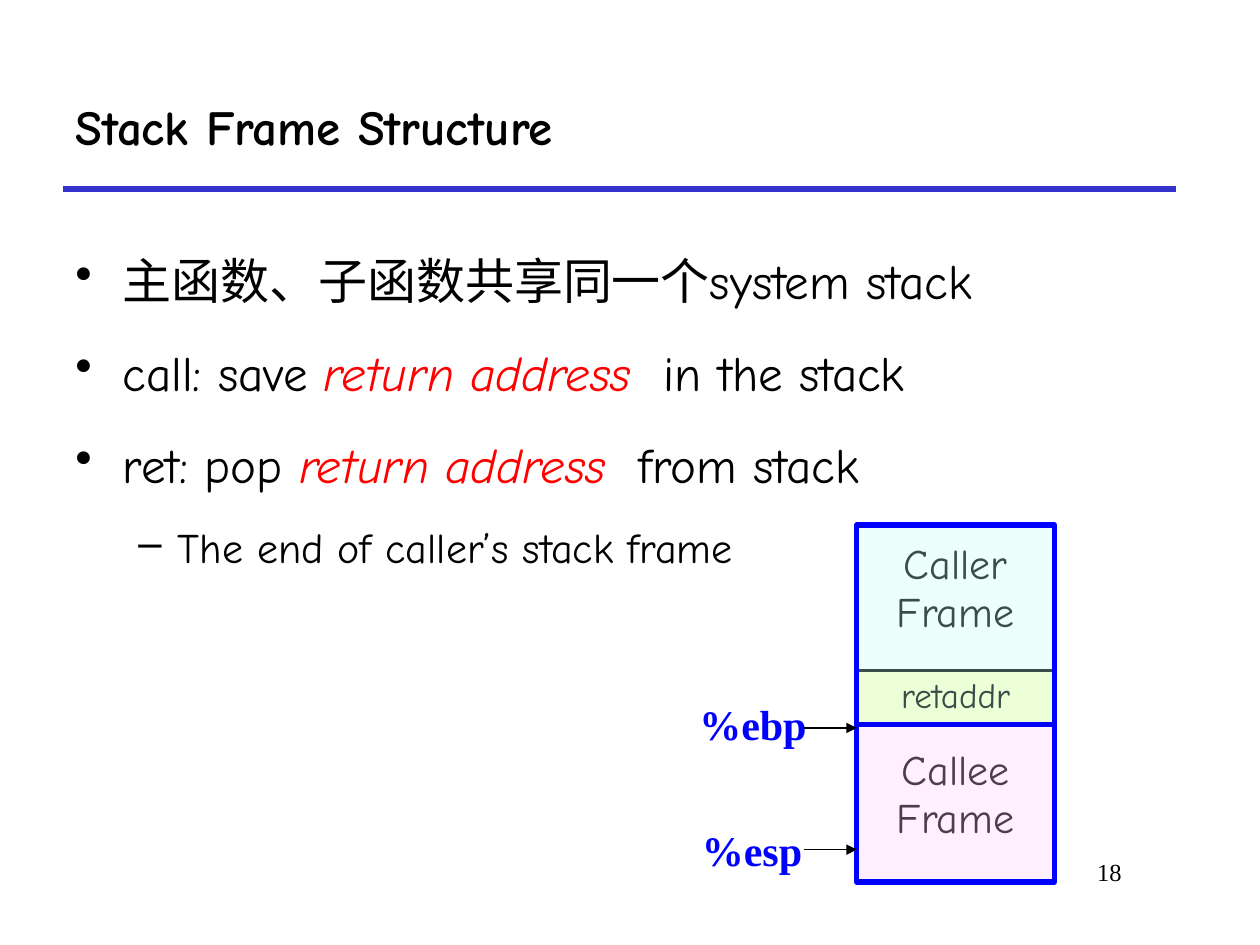
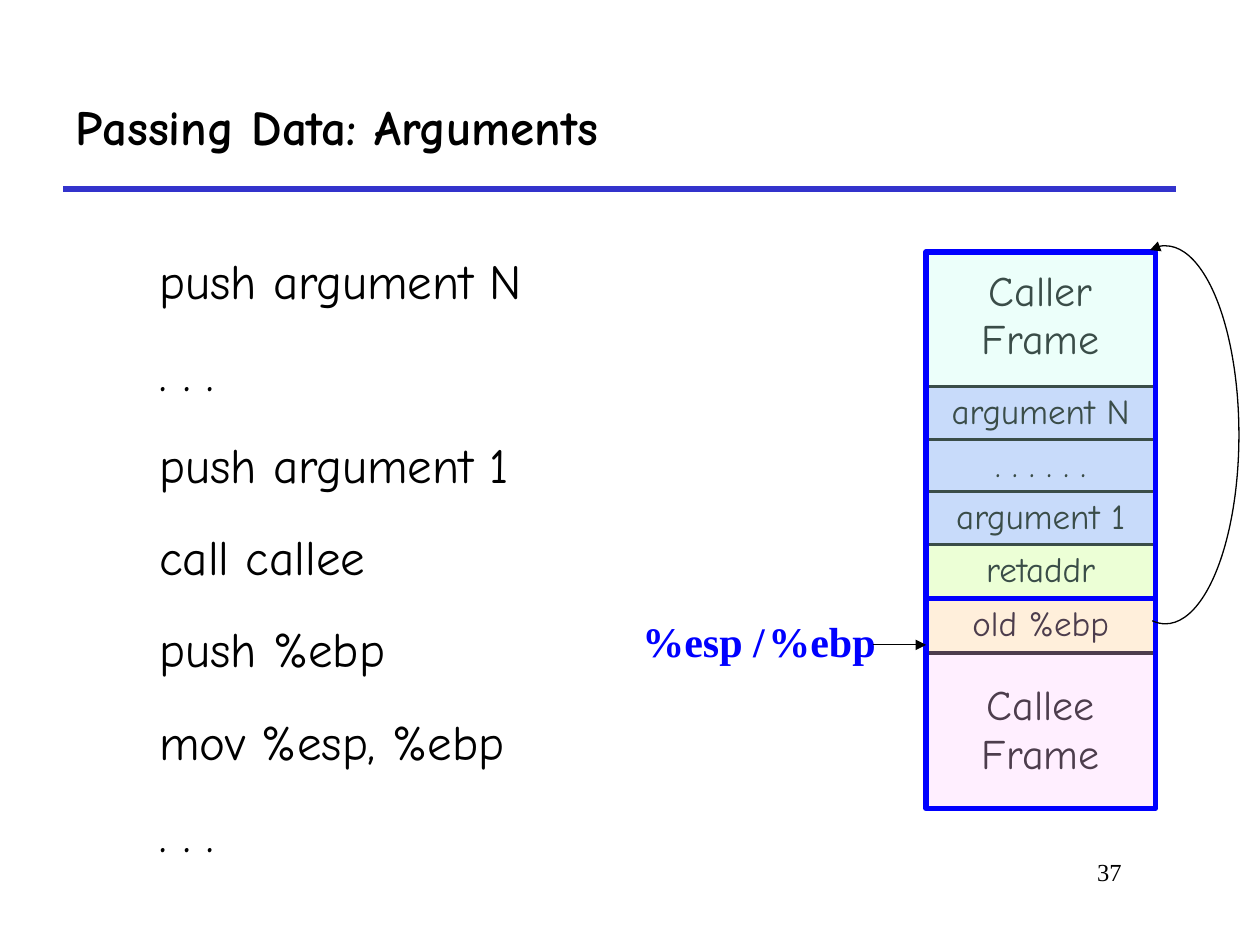
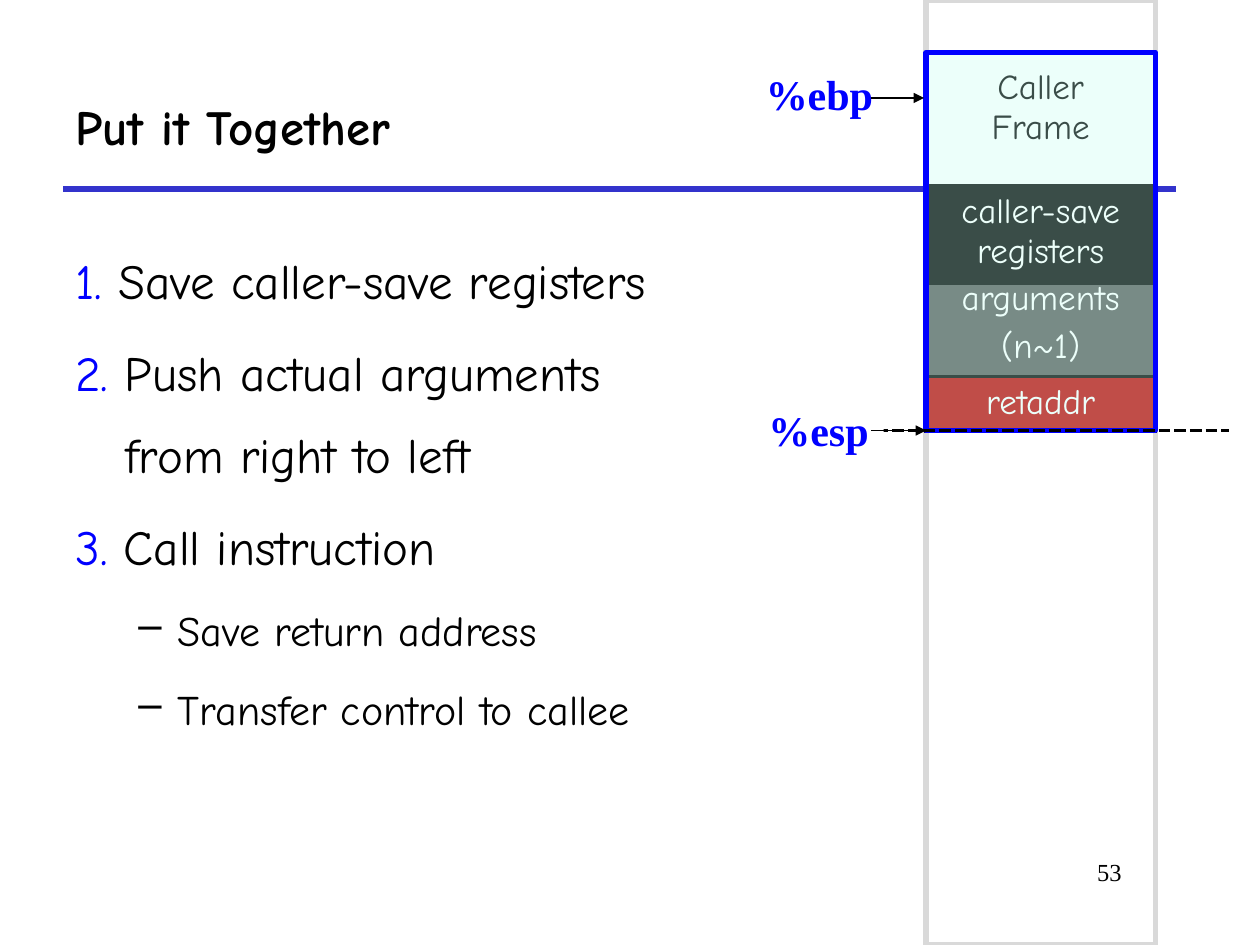
from lxml.etree import SubElement
from pptx import Presentation
from pptx.dml.color import RGBColor
from pptx.enum.dml import MSO_LINE
from pptx.enum.shapes import MSO_CONNECTOR, MSO_SHAPE
from pptx.enum.text import MSO_ANCHOR as ANCHOR, PP_ALIGN as ALIGN
from pptx.oxml.ns import qn
from pptx.util import Pt

COLORS = {name: RGBColor.from_string(value) for name, value in {
    "black": "000000", "white": "FFFFFF", "rule": "3333CC", "blue": "0000FF",
    "red": "FF0000", "gray": "D9D9D9", "caller": "C2FFF0", "callee": "FFCCFF",
    "yellow": "FFFFCC", "lilac": "CCCCFF", "dark gray": "595959", "dark red": "C00000",
}.items()}
SANS, SERIF = "Comic Neue", "Times New Roman"


def add_text(slide, left, top, width, height, text, size, font=SANS,
             color="black", bold=False, wrap=True):
    box = slide.shapes.add_textbox(Pt(left), Pt(top), Pt(width), Pt(height))
    box.text_frame.word_wrap = wrap
    paragraph = box.text_frame.paragraphs[0]
    paragraph.text = text
    paragraph.font.size, paragraph.font.name, paragraph.font.bold = Pt(size), font, bold
    paragraph.font.color.rgb = COLORS[color]
    return box


def add_line(slide, x1, y1, x2, y2, color, width):
    connector = slide.shapes.add_connector(
        MSO_CONNECTOR.STRAIGHT, Pt(x1), Pt(y1), Pt(x2), Pt(y2))
    connector.line.color.rgb = COLORS[color]
    connector.line.width = Pt(width)
    SubElement(connector.element.spPr, qn("a:effectLst"))
    return connector


presentation = Presentation()
presentation.slide_width, presentation.slide_height = Pt(720), Pt(540)

# Shared parts: rule, title, page number
slides = []
for title, number in [("Stack Frame Structure", "18"),
                      ("Passing Data: Arguments", "37"),
                      ("Put it Together", "53")]:
    slide = presentation.slides.add_slide(presentation.slide_layouts[6])
    add_line(slide, 36, 108, 672, 108, "rule", 3)
    title_box = add_text(slide, 36, 36, 636, 72, title, 28, bold=True)
    title_box.text_frame.vertical_anchor = ANCHOR.MIDDLE
    page_box = add_text(slide, 546, 486, 102, 36, number, 14, SERIF)
    page_box.text_frame.paragraphs[0].alignment = ALIGN.RIGHT
    slides.append(slide)
structure, arguments, together = slides

# Body text: each paragraph has a style and runs of (text, colour)
STYLES = {  # size, left margin, hanging indent, bullet
    "plain": (28, 0, 0, None),
    "bullet": (28, 27, 27, "•"),
    "dash": (24, 58.5, 22.5, "–"),
    "number": (28, 28.5, 28.5, None),
}
steps = ["push argument N", ". . .", "push argument 1", "call callee",
         "push %ebp", "mov %esp, %ebp", ". . ."]
bodies = [
    (structure, 36, 660, 348, [
        ("bullet", [("主函数、子函数共享同一个system stack", "black")]),
        ("bullet", [("call: save ", "black"), ("return address", "red"),
                    ("  in the stack", "black")]),
        ("bullet", [("ret: pop ", "black"), ("return address", "red"),
                    ("  from stack", "black")]),
        ("dash", [("The end of caller’s stack frame", "black")]),
    ]),
    (arguments, 84, 612, 378, [("plain", [(step, "black")]) for step in steps]),
    (together, 36, 684, 348, [
        ("number", [("1. ", "blue"), ("Save caller-save registers", "black")]),
        ("number", [("2. ", "blue"),
                    ("Push actual arguments \nfrom right to left", "black")]),
        ("number", [("3. ", "blue"), ("Call instruction", "black")]),
        ("dash", [("Save return address", "black")]),
        ("dash", [("Transfer control to callee", "black")]),
    ]),
]
for slide, left, width, height, paragraphs in bodies:
    box = slide.shapes.add_textbox(Pt(left), Pt(126), Pt(width), Pt(height))
    frame = box.text_frame
    frame.word_wrap = True
    for index, (style, runs) in enumerate(paragraphs):
        size, margin, hanging, bullet = STYLES[style]
        paragraph = frame.add_paragraph() if index else frame.paragraphs[0]
        paragraph.line_spacing = 1.4
        if index:
            paragraph.space_before = Pt(size * 0.2)
        properties = paragraph._p.get_or_add_pPr()
        properties.set("marL", str(Pt(margin)))
        properties.set("indent", str(-Pt(hanging)))
        if bullet:
            SubElement(properties, qn("a:buChar"), char=bullet)
        paragraph.font.size, paragraph.font.name = Pt(size), SANS
        paragraph.font.color.rgb = COLORS["black"]
        for text, color in runs:
            for line_index, line in enumerate(text.split("\n")):
                if line_index:
                    paragraph.add_line_break()
                run = paragraph.add_run()
                run.text = line
                if color != "black":
                    run.font.color.rgb = COLORS[color]
                if color == "red":
                    run.font.italic = True

# Stack columns: left and width by slide id
COLUMNS = {structure.slide_id: (489.6, 113),
           arguments.slide_id: (529.2, 131),
           together.slide_id: (529.2, 131)}

# Outline of the whole stack
left, width = COLUMNS[together.slide_id]
outline = together.shapes.add_shape(MSO_SHAPE.RECTANGLE, Pt(left), Pt(0), Pt(width), Pt(540))
outline.shadow.inherit = False
outline.fill.background()
outline.line.color.rgb = COLORS["gray"]
outline.line.width = Pt(3)

# Stack cells: top, height, paragraphs, size, top margin, fill, text colour
argument_cells = [
    (arguments, 221 + 30 * index, 31, [text], 20, 3.6, fill, "black")
    for index, (text, fill) in enumerate([
        ("argument N", "lilac"), (". . . . . .", "lilac"),
        ("argument 1", "lilac"), ("retaddr", "yellow")])
]
cells = [
    (structure, 414, 90, ["Callee\vFrame"], 24, 13, None, "black"),
    (structure, 383, 31, ["retaddr"], 20, 3.6, "yellow", "black"),
    (structure, 300, 114, ["Caller\vFrame"], 24, 9.6, None, "black"),
    (arguments, 342, 31, ["old %ebp"], 20, 3.6, "yellow", "black"),
    *argument_cells,
    (arguments, 144, 198, ["Caller\vFrame"], 24, 9.6, None, "black"),
    (arguments, 342, 120, ["Callee\vFrame"], 24, 48.4, None, "black"),
    (together, 156, 60, ["arguments", "(n~1)"], 20, 3.6, "dark gray", "white"),
    (together, 106, 56, ["caller-save registers"], 20, 3.6, "black", "white"),
    (together, 215, 31, ["retaddr"], 20, 3.6, "dark red", "white"),
    (together, 30, 216, ["Caller\vFrame"], 20, 8.8, None, "black"),
]
for slide, top, height, texts, size, margin_top, fill, color in cells:
    left, width = COLUMNS[slide.slide_id]
    table = slide.shapes.add_table(1, 1, Pt(left), Pt(top), Pt(width), Pt(height)).table
    table.first_row = table.horz_banding = False
    cell = table.cell(0, 0)
    cell.margin_left = cell.margin_right = Pt(7.2)
    cell.margin_top, cell.margin_bottom = Pt(margin_top), Pt(3.6)
    for side in ("lnL", "lnR", "lnT", "lnB"):
        border = SubElement(cell._tc.get_or_add_tcPr(), qn("a:" + side), w=str(Pt(2.25)))
        border_fill = SubElement(border, qn("a:solidFill"))
        SubElement(border_fill, qn("a:srgbClr"), val=str(COLORS["black"]))
    if fill:
        cell.fill.solid()
        cell.fill.fore_color.rgb = COLORS[fill]
    else:
        cell.fill.background()
    for index, text in enumerate(texts):
        paragraph = cell.text_frame.add_paragraph() if index else cell.text_frame.paragraphs[0]
        paragraph.text = text
        paragraph.alignment = ALIGN.CENTER
        if index:
            paragraph.space_before = Pt(size * 0.2)
        paragraph.font.size, paragraph.font.name = Pt(size), SANS
        paragraph.font.color.rgb = COLORS[color]

# Translucent frames over the cells
for slide, top, height, color in [
    (structure, 300, 114, "caller"), (structure, 414, 90, "callee"),
    (arguments, 144, 198, "caller"), (arguments, 342, 120, "callee"),
    (together, 30, 216, "caller"),
]:
    left, width = COLUMNS[slide.slide_id]
    shape = slide.shapes.add_shape(
        MSO_SHAPE.RECTANGLE, Pt(left), Pt(top), Pt(width), Pt(height))
    shape.shadow.inherit = False
    shape.fill.solid()
    shape.fill.fore_color.rgb = COLORS[color]
    fill_color = shape.element.spPr.find(qn("a:solidFill")).find(qn("a:srgbClr"))
    SubElement(fill_color, qn("a:alpha"), val="30000")
    shape.line.color.rgb = COLORS["blue"]
    shape.line.width = Pt(3)

# Dashed line at the stack top
stack_top = add_line(together, 474, 246, 702, 246, "black", 2.25)
stack_top.line.dash_style = MSO_LINE.SQUARE_DOT

# Register labels
for slide, left, top, width, text in [
    (structure, 392.5, 395.5, 76, "%ebp"), (structure, 394, 467.5, 73, "%esp"),
    (arguments, 432, 348, 76, "%ebp"), (arguments, 360, 348, 85, "%esp /"),
    (together, 430.5, 35.5, 76, "%ebp"), (together, 432, 227.5, 73, "%esp"),
]:
    label = add_text(slide, left, top, width, 37, text, 24, SERIF, "blue", True, False)
    if slide is together and text == "%esp":
        label.fill.solid()
        label.fill.fore_color.rgb = COLORS["white"]

# Register arrows
for slide, start, y, end in [
    (structure, 459.5, 416, 489.6), (structure, 459.5, 485.5, 489.6),
    (arguments, 499, 368.5, 529.2),
    (together, 498, 56, 528), (together, 498, 246, 529.2),
]:
    arrow = add_line(slide, start, y, end, y, "black", 0.75)
    SubElement(arrow.element.spPr.find(qn("a:ln")), qn("a:tailEnd"), type="triangle")

# Arc from the old %ebp to the caller frame
arc = arguments.shapes.add_shape(MSO_SHAPE.ARC, Pt(624), Pt(140.5), Pt(84), Pt(216))
arc.adjustments[0], arc.adjustments[1] = 159.12, 56.43
arc.shadow.inherit = False
arc.fill.background()
arc.line.color.rgb = COLORS["black"]
arc.line.width = Pt(0.75)
SubElement(arc.element.spPr.find(qn("a:ln")), qn("a:headEnd"), type="triangle")

presentation.save("out.pptx")
